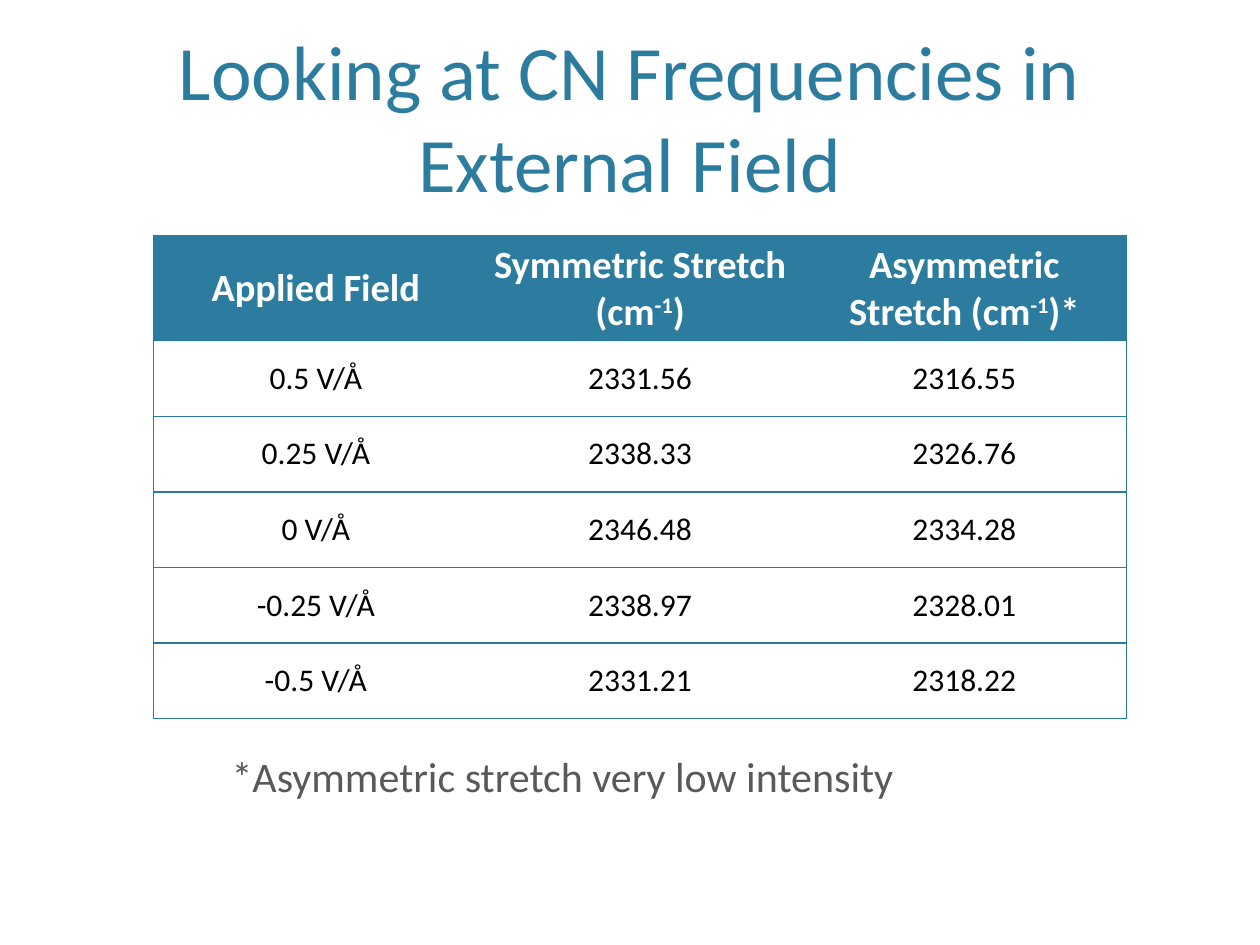
"""Build a slide with a table of CN stretch frequencies in an external field."""
from dataclasses import dataclass

from lxml import etree
from pptx import Presentation
from pptx.dml.color import RGBColor
from pptx.enum import text
from pptx.oxml import ns
from pptx.util import Inches, Pt

TEAL = RGBColor(0x2C, 0x7C, 0x9F)
BORDER = RGBColor(0x28, 0x7A, 0x9E)
GRAY = RGBColor(0x59, 0x59, 0x59)
WHITE = RGBColor(0xFF, 0xFF, 0xFF)
BLACK = RGBColor(0, 0, 0)
FONT = "Calibri"
SUPERSCRIPT = "-1"
HEADERS = ("Applied Field", "Symmetric Stretch (cm^)", "Asymmetric Stretch (cm^)*")


@dataclass(frozen=True)
class Reading:
    field: str
    symmetric: str
    asymmetric: str


@dataclass(frozen=True)
class Caption:
    words: str
    left: float
    top: float
    width: float
    height: float
    size: int
    color: RGBColor
    align: text.PP_ALIGN
    anchor: text.MSO_ANCHOR


READINGS = (
    Reading("0.5 V/Å", "2331.56", "2316.55"),
    Reading("0.25 V/Å", "2338.33", "2326.76"),
    Reading("0 V/Å", "2346.48", "2334.28"),
    Reading("-0.25 V/Å", "2338.97", "2328.01"),
    Reading("-0.5 V/Å", "2331.21", "2318.22"),
)
CAPTIONS = (
    Caption("Looking at CN Frequencies in External Field", 0.6, 0.24, 8.8, 1.46,
            44, TEAL, text.PP_ALIGN.CENTER, text.MSO_ANCHOR.BOTTOM),
    Caption("*Asymmetric stretch very low intensity", 1.74, 5.91, 8.36, 0.78,
            24, GRAY, text.PP_ALIGN.LEFT, text.MSO_ANCHOR.TOP),
)


def write(frame, words: str, *, size: int, color: RGBColor,
          align=text.PP_ALIGN.CENTER, bold: bool = False) -> None:
    """Write words into a text frame, with each ^ standing for the superscript."""
    para = frame.paragraphs[0]
    para.alignment = align
    before, mark, after = words.partition("^")
    for part, raised in ((before, False), (SUPERSCRIPT if mark else "", True), (after, False)):
        if not part:
            continue
        span = para.add_run()
        span.text = part
        span.font.name = FONT
        span.font.size = Pt(size)
        span.font.bold = bold
        span.font.color.rgb = color
        if raised:
            span.font._element.set("baseline", "30000")


def add_caption(page, caption: Caption) -> None:
    """Add one text box to the page."""
    box = page.shapes.add_textbox(Inches(caption.left), Inches(caption.top),
                                  Inches(caption.width), Inches(caption.height))
    frame = box.text_frame
    frame.word_wrap = True
    frame.vertical_anchor = caption.anchor
    write(frame, caption.words, size=caption.size, color=caption.color, align=caption.align)


def set_borders(cell, visible: set[str]) -> None:
    """Draw the visible sides of a cell and clear the others."""
    props = cell._tc.get_or_add_tcPr()
    for position, side in enumerate(("L", "R", "T", "B")):
        line = etree.Element(ns.qn(f"a:ln{side}"), w=str(Pt(1)))
        if side in visible:
            fill = etree.SubElement(line, ns.qn("a:solidFill"))
            etree.SubElement(fill, ns.qn("a:srgbClr"), val=str(BORDER))
        else:
            etree.SubElement(line, ns.qn("a:noFill"))
        props.insert(position, line)


def add_frequency_table(page) -> None:
    """Add the table of frequencies to the page."""
    rows = [HEADERS] + [(r.field, r.symmetric, r.asymmetric) for r in READINGS]
    last = len(HEADERS) - 1
    table = page.shapes.add_table(len(rows), len(HEADERS), Inches(1.22), Inches(1.87),
                                  Inches(7.72), Inches(3.81)).table
    for r, row in enumerate(rows):
        header = r == 0
        table.rows[r].height = Inches(0.81 if header else 0.6)
        for c, words in enumerate(row):
            cell = table.cell(r, c)
            cell.vertical_anchor = text.MSO_ANCHOR.MIDDLE
            cell.fill.solid()
            cell.fill.fore_color.rgb = TEAL if header else WHITE
            write(cell.text_frame, words, size=22 if header else 18,
                  color=WHITE if header else BLACK, bold=header)
            sides = {"T", "B"}
            if c == 0:
                sides.add("L")
            if c == last:
                sides.add("R")
            set_borders(cell, sides)


def main() -> None:
    """Create and save the deck."""
    deck = Presentation()
    deck.slide_width, deck.slide_height = Inches(10), Inches(7.5)
    page = deck.slides.add_slide(deck.slide_layouts[6])
    for caption in CAPTIONS:
        add_caption(page, caption)
    add_frequency_table(page)
    deck.save("out.pptx")


if __name__ == "__main__":
    main()
